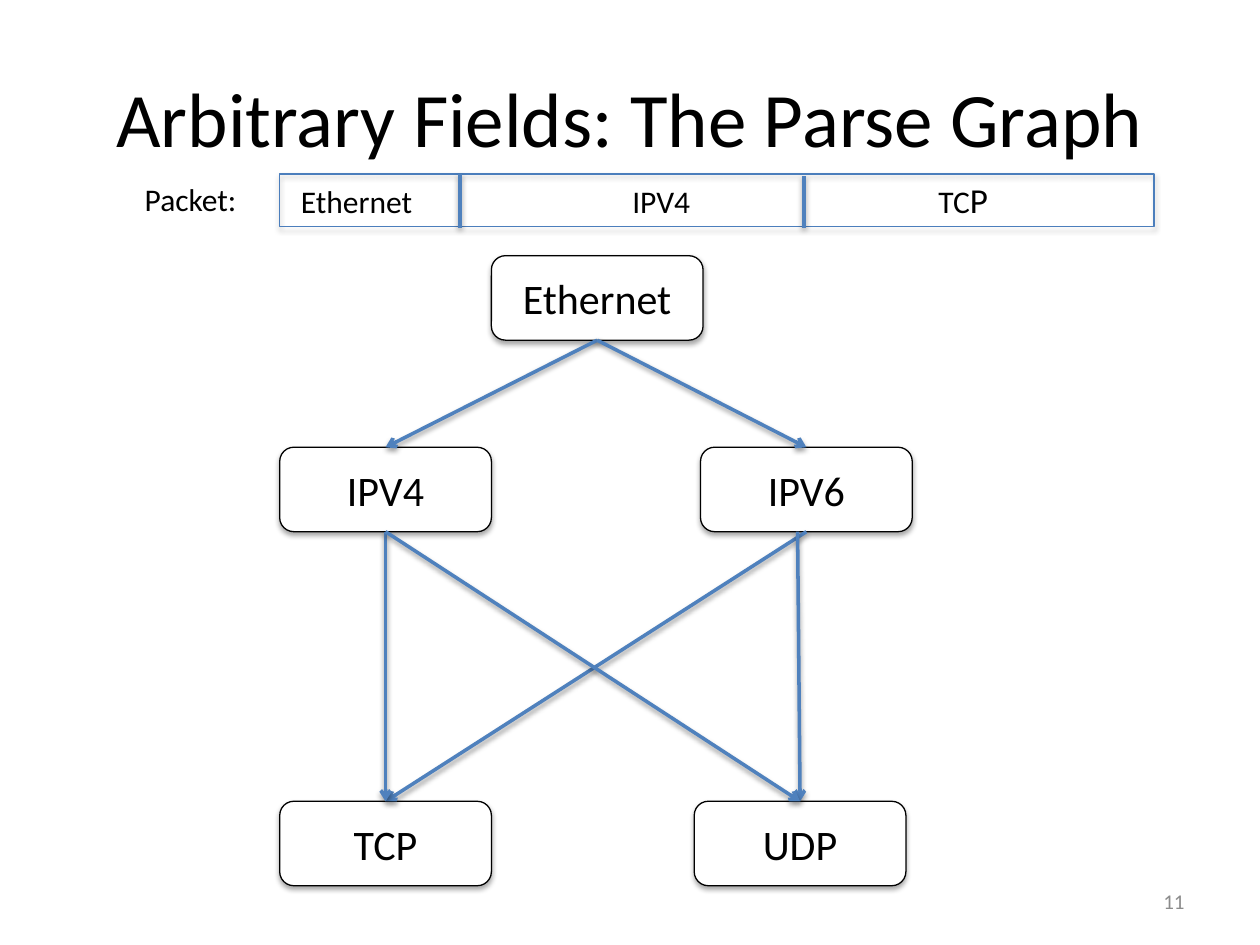
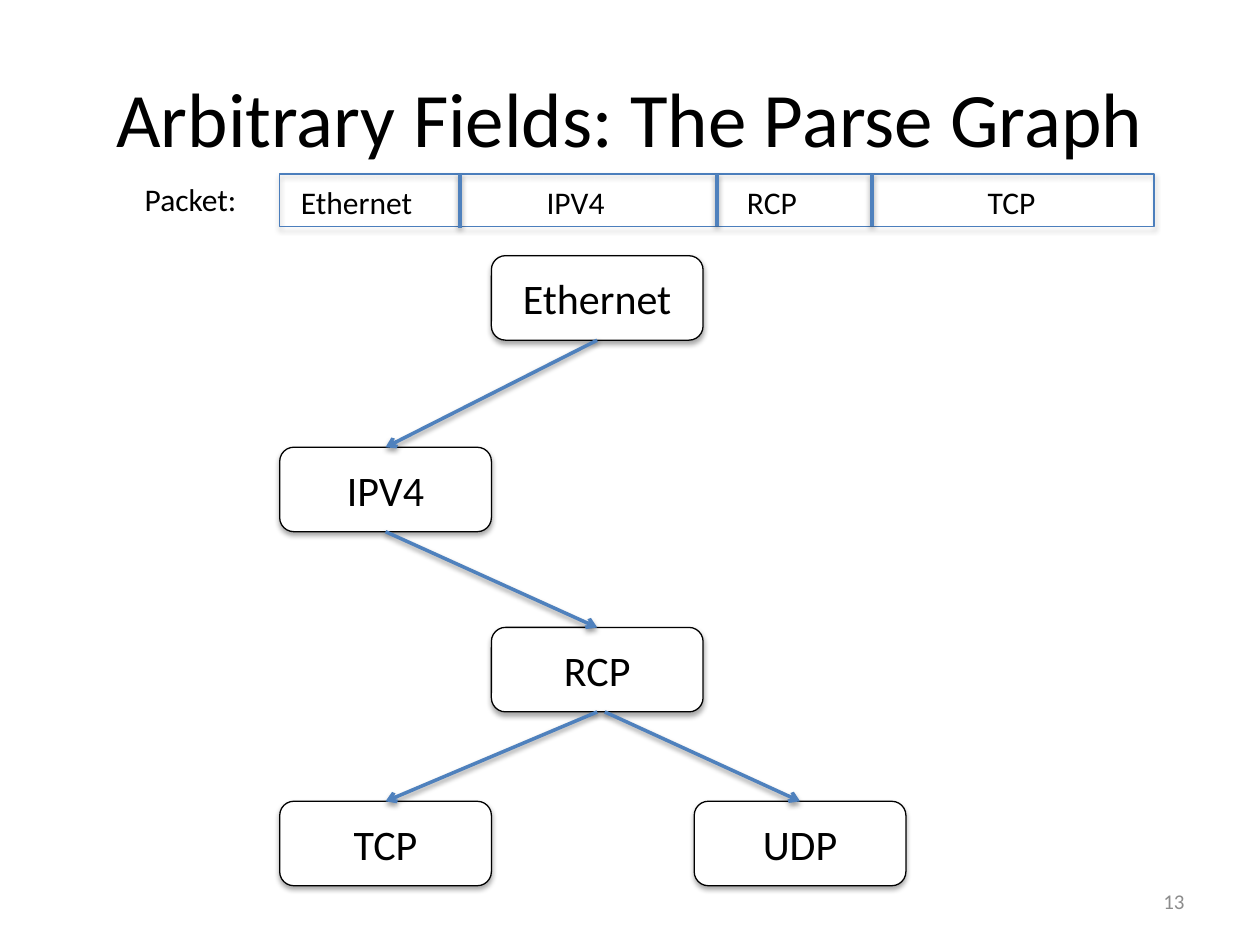
from lxml import etree
from pptx import Presentation
from pptx.dml.color import RGBColor
from pptx.enum import shapes, text
from pptx.oxml.ns import qn
from pptx.util import Emu, Inches, Pt

THEME = {
    "font": "Calibri",
    "ink": RGBColor.from_string("000000"),
    "paper": RGBColor.from_string("FFFFFF"),
    "arrow": RGBColor.from_string("4F81BD"),
    "frame": RGBColor.from_string("4B7EBC"),
    "muted": RGBColor.from_string("8C8C8C"),
    "title": 44, "node": 24, "label": 18, "large": 20, "number": 12,
    "thin": Pt(0.75), "thick": Pt(2),
}
TITLE = "Arbitrary Fields: The Parse Graph"

deck = Presentation()
deck.slide_width, deck.slide_height = Inches(10), Inches(7.5)
CELL = deck.slide_width / 100  # grid of 100 columns and 75 rows

# Shared grid, in columns and rows
NODE_W, NODE_H = 16.8, 6.7
LEFT = 22.2
MIDDLE = LEFT + NODE_W
BAND_TOP, BAND_W, BAND_H = 13.8, 69.4, 4.2
TEXT_LEFT = 22.9
INSET = 1
COMMON_NODES = {"Ethernet": (MIDDLE, 20.3), "IPV4": (LEFT, 35.5),
                "TCP": (LEFT, 63.6), "UDP": (55.1, 63.6)}

# Each edge: start node, end node, sideways shift of its start
# Each field: column where its name starts, then its spans of text and size
# Each divider: column, top row, bottom row
label = THEME["label"]
SLIDES = [
    {"number": "11",
     "nodes": {**COMMON_NODES, "IPV6": (55.6, 35.5)},
     "edges": [("Ethernet", "IPV4", 0), ("Ethernet", "IPV6", 0),
               ("IPV6", "TCP", 0), ("IPV4", "TCP", 0),
               ("IPV6", "UDP", -0.7), ("IPV4", "UDP", 0)],
     "text_top": 13.7,
     "fields": [(23.9, [("Ethernet", label)]), (50.2, [("IPV4", label)]),
                (74.5, [("TC", label), ("P", THEME["large"])])],
     "dividers": [(36.5, 13.8, 18.1), (63.8, 14, 18.1)]},
    {"number": "13",
     "nodes": {**COMMON_NODES, "RCP": (MIDDLE, 49.8)},
     "edges": [("Ethernet", "IPV4", 0), ("IPV4", "RCP", 0),
               ("RCP", "TCP", 0), ("RCP", "UDP", 0.6)],
     "text_top": 14,
     "fields": [(23.9, [("Ethernet", label)]), (43.4, [("IPV4", label)]),
                (59.3, [("RCP", label)]), (78.4, [("TCP", label)])],
     "dividers": [(36.5, 13.8, 18.1), (56.9, 13.8, 17.9), (69.2, 13.8, 17.9)]},
]


def grid(*lengths):
    return [Emu(round(length * CELL)) for length in lengths]


def finish(item, line_format, opacity, distance, arrow=False):
    """Give a shape or connector its line, arrowhead and soft shadow."""
    for name, value in line_format.items():
        if name == "color":
            item.line.color.rgb = value
        else:
            setattr(item.line, name, value)
    properties = item._element.spPr
    if arrow:
        etree.SubElement(properties.find(qn("a:ln")), qn("a:tailEnd"), type="arrow")
    effects = etree.SubElement(properties, qn("a:effectLst"))
    shadow = etree.SubElement(effects, qn("a:outerShdw"), blurRad=str(Pt(3.1)),
                              dist=str(Pt(distance)), dir="5400000", rotWithShape="0")
    color = etree.SubElement(shadow, qn("a:srgbClr"), val=str(THEME["ink"]))
    etree.SubElement(color, qn("a:alpha"), val=str(opacity * 1000))


thin_ink = {"color": THEME["ink"], "width": THEME["thin"]}
thin_frame = {"color": THEME["frame"], "width": THEME["thin"]}
thick_arrow = {"color": THEME["arrow"], "width": THEME["thick"]}

for content in SLIDES:
    page = deck.slides.add_slide(deck.slide_layouts[5])
    texts = []  # text frame, spans, alignment, anchor, colour, wrap

    # Title
    title = page.shapes.title
    title.left, title.top, title.width, title.height = grid(5, 3, 90, 12.5)
    texts.append((title.text_frame, [(TITLE, THEME["title"])],
                  text.PP_ALIGN.CENTER, text.MSO_ANCHOR.MIDDLE, THEME["ink"], True))

    # Protocol nodes
    nodes = {}
    for name, (left, top) in content["nodes"].items():
        node = page.shapes.add_shape(shapes.MSO_SHAPE.FLOWCHART_ALTERNATE_PROCESS,
                                     *grid(left, top, NODE_W, NODE_H))
        node.fill.solid()
        node.fill.fore_color.rgb = THEME["paper"]
        finish(node, thin_ink, 35, 1.8)
        nodes[name] = node
        texts.append((node.text_frame, [(name, THEME["node"])],
                      text.PP_ALIGN.CENTER, text.MSO_ANCHOR.MIDDLE, THEME["ink"], True))

    # Arrows from the bottom of one node to the top of the next
    for start, end, shift in content["edges"]:
        source, target = nodes[start], nodes[end]
        edge = page.shapes.add_connector(
            shapes.MSO_CONNECTOR.STRAIGHT,
            source.left + source.width // 2 + grid(shift)[0], source.top + source.height,
            target.left + target.width // 2, target.top)
        if not shift:
            edge.begin_connect(source, 2)
        edge.end_connect(target, 0)
        finish(edge, thick_arrow, 38, 1.6, arrow=True)

    # Packet band and its dividers
    band = page.shapes.add_shape(shapes.MSO_SHAPE.RECTANGLE,
                                 *grid(LEFT, BAND_TOP, BAND_W, BAND_H))
    band.fill.background()
    finish(band, thin_frame, 35, 1.8)
    for column, top, bottom in content["dividers"]:
        divider = page.shapes.add_connector(shapes.MSO_CONNECTOR.STRAIGHT,
                                            *grid(column, bottom, column, top))
        finish(divider, thick_arrow, 38, 1.6)

    # Field names, set on tab stops
    box = page.shapes.add_textbox(*grid(TEXT_LEFT, content["text_top"], 68.7, 4))
    stops = etree.SubElement(box.text_frame.paragraphs[0]._p.get_or_add_pPr(),
                             qn("a:tabLst"))
    spans = []
    for index, (column, field) in enumerate(content["fields"]):
        if index:
            position = grid(column - TEXT_LEFT - INSET)[0]
            etree.SubElement(stops, qn("a:tab"), pos=str(position), algn="l")
            spans.append(("\t", label))
        spans += field
    texts.append((box.text_frame, spans, text.PP_ALIGN.LEFT,
                  text.MSO_ANCHOR.TOP, THEME["ink"], True))

    # Packet label and page number
    box = page.shapes.add_textbox(*grid(10.5, 13.8, 9.5, 4))
    texts.append((box.text_frame, [("Packet:", label)], text.PP_ALIGN.LEFT,
                  text.MSO_ANCHOR.TOP, THEME["ink"], False))
    box = page.shapes.add_textbox(*grid(71.7, 69.5, 23.3, 4))
    texts.append((box.text_frame, [(content["number"], THEME["number"])],
                  text.PP_ALIGN.RIGHT, text.MSO_ANCHOR.MIDDLE, THEME["muted"], True))

    # Write and format all text
    for frame, spans, alignment, anchor, color, wrap in texts:
        frame.word_wrap, frame.vertical_anchor = wrap, anchor
        para = frame.paragraphs[0]
        para.alignment = alignment
        for words, size in spans:
            span = para.add_run()
            span.text = words
            for name, value in {"name": THEME["font"], "size": Pt(size)}.items():
                setattr(span.font, name, value)
            span.font.color.rgb = color

deck.save("out.pptx")
